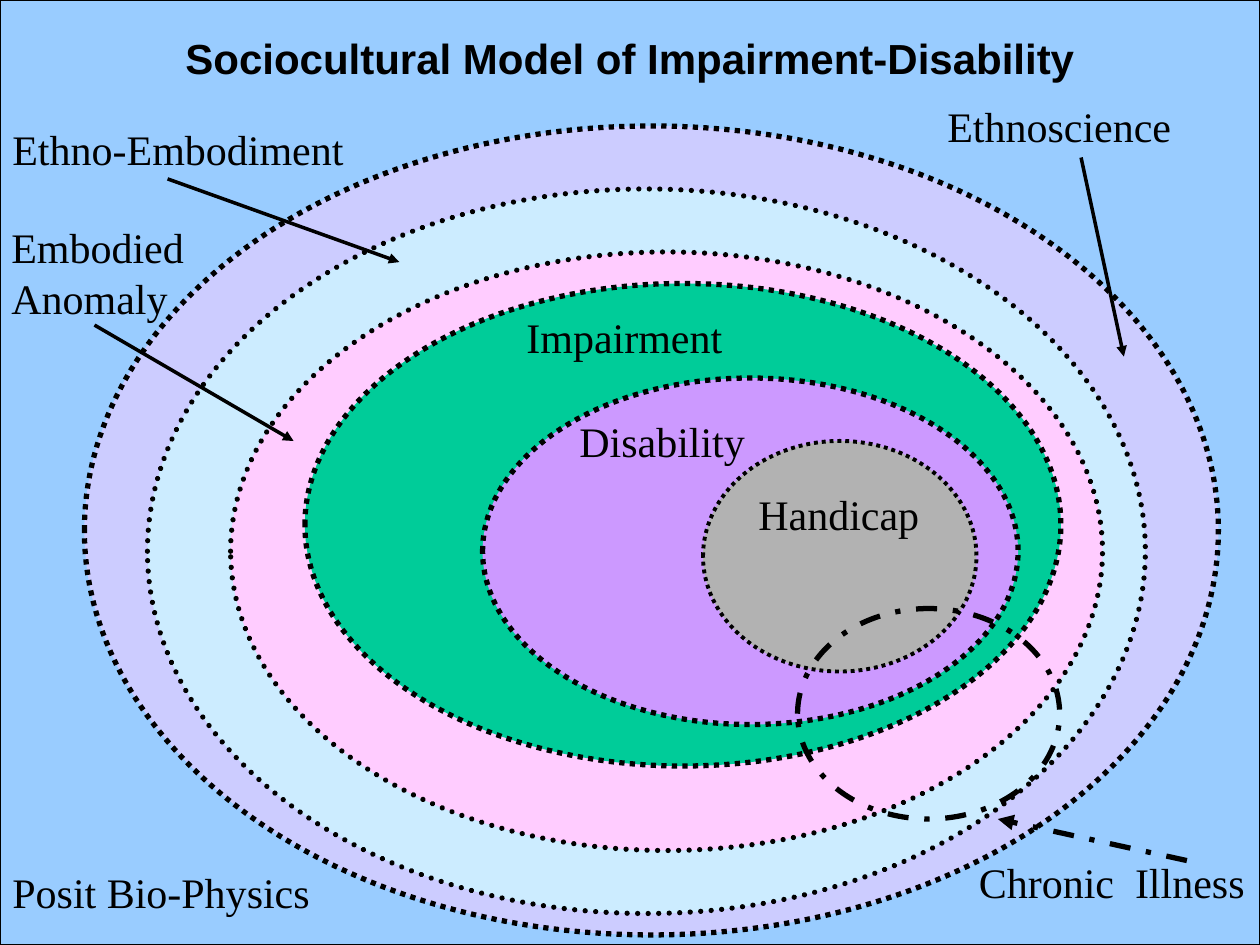
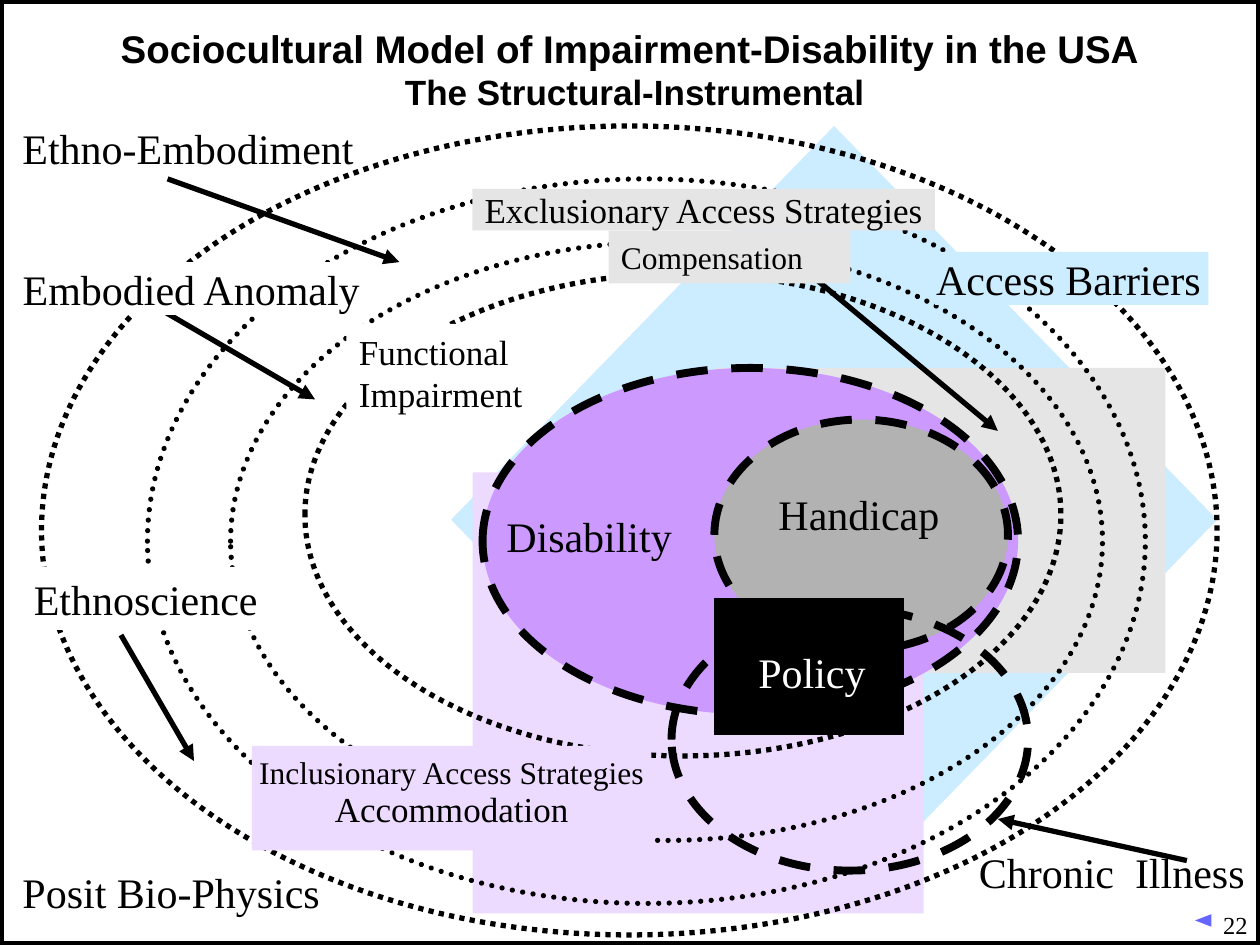
"""Builds two slides of nested ellipses on impairment and disability."""
from dataclasses import dataclass

from lxml import etree
from pptx import Presentation, util as u
from pptx.dml.color import RGBColor
from pptx.enum import dml, shapes, text
from pptx.oxml.ns import qn


@dataclass(frozen=True)
class Theme:
    """Colours, fonts and type sizes."""
    black: str = "000000"
    white: str = "FFFFFF"
    sky: str = "99CCFF"
    lavender: str = "CCCCFF"
    ice: str = "CCECFF"
    pink: str = "FFCCFF"
    green: str = "00CC99"
    violet: str = "CC99FF"
    lilac: str = "EDDBFF"
    grey: str = "B2B2B2"
    silver: str = "E5E5E5"
    marker: str = "6666FF"
    heading: str = "Arial"
    body: str = "Times New Roman"
    large: int = 24
    title: int = 22
    medium: int = 20
    small: int = 18
    number: int = 14


T = Theme()
DASHES = {
    "square": dml.MSO_LINE.ROUND_DOT,
    "round": dml.MSO_LINE.ROUND_DOT,
    "dash": dml.MSO_LINE.DASH,
    "dashdot": dml.MSO_LINE.DASH_DOT,
}
PRESETS = {
    "ellipse": shapes.MSO_SHAPE.OVAL,
    "rect": shapes.MSO_SHAPE.RECTANGLE,
    "diamond": shapes.MSO_SHAPE.DIAMOND,
    "triangle": shapes.MSO_SHAPE.ISOSCELES_TRIANGLE,
}
TIGHT = {"inset": 0.01}
MIDDLE = {"anchor": text.MSO_ANCHOR.MIDDLE}
CENTRED = {**TIGHT, **MIDDLE, "align": text.PP_ALIGN.CENTER}

SLIDES = [
    {
        "title": [("Sociocultural Model of Impairment-Disability", T.large)],
        "title_top": -0.17,
        "background": T.sky,
        "frame": 0.75,
        "parts": [
            ("label", "Ethnoscience", (7.42, 0.75, 2.25, 0.5)),
            ("label", "Ethno-Embodiment", (0, 0.93, 2.83, 0.5)),
            ("ellipse", (0.67, 1, 9, 6.42), T.lavender, 3, "square"),
            ("ellipse", (1.17, 1.5, 7.92, 5.75), T.ice, 3, "round"),
            ("ellipse", (1.83, 2, 6.92, 4.75), T.pink, 3, "round"),
            ("ellipse", (2.42, 2.25, 6, 3.83), T.green, 3, "square"),
            ("ellipse", (3.83, 3, 4.25, 2.75), T.violet, 3, "square"),
            ("ellipse", (5.58, 3.5, 2.17, 1.83), T.grey, 2.25, "square"),
            ("label", "Impairment", (4.08, 2.42, 3.75, 0.5)),
            ("label", "Disability", (4.5, 3.25, 2.67, 0.5)),
            ("label", "Handicap", (5.92, 3.83, 1.75, 0.5)),
            ("arrow", (8.58, 1.25), (8.92, 2.83), 2),
            ("arrow", (1.33, 1.42), (3.17, 2.08), 2),
            ("arrow", (0.75, 2.58), (2.33, 3.5), 2),
            ("ellipse", (6.33, 4.83, 2.08, 1.67), None, 3, "dashdot"),
            ("label", "Chronic  Illness", (7.67, 6.75, 2.33, 0.5)),
            ("arrow", (9.42, 6.83), (7.92, 6.5), 3, "dashdot"),
            ("label", "Posit Bio-Physics", (0, 6.83, 2.83, 0.5)),
            ("label", "Embodied Anomaly", (0.08, 1.75, 2.67, 0.82), TIGHT),
        ],
    },
    {
        "title": [
            ("Sociocultural Model of Impairment-Disability in the USA", T.title),
            (" The Structural-Instrumental", T.medium),
        ],
        "title_top": -0.08,
        "background": T.white,
        "frame": 4.5,
        "parts": [
            ("label", "22", (7.92, 7.17, 2.08, 0.33),
             {"size": T.number, "align": text.PP_ALIGN.RIGHT}),
            ("triangle", (9.5, 7.24, 0.1, 0.13), T.marker, None, None, 270),
            ("diamond", (3.58, 1, 6.08, 6.25), T.ice),
            ("rect", (3.75, 3.75, 3.58, 3.5), T.lilac),
            ("rect", (5.67, 2.92, 3.58, 2.42), T.silver),
            ("label", "Ethno-Embodiment", (0.08, 0.92, 2.83, 0.5)),
            ("ellipse", (0.33, 1, 9.33, 6.42), None, 3, "square"),
            ("ellipse", (1.17, 1.42, 7.92, 5.75), None, 3, "round"),
            ("ellipse", (1.83, 1.92, 6.92, 4.75), None, 3, "round"),
            ("ellipse", (3.83, 2.92, 4.25, 2.75), T.violet, 4.5, "dash"),
            ("ellipse", (2.42, 2.17, 6, 3.83), None, 3, "square"),
            ("ellipse", (5.67, 3.33, 2.33, 1.83), T.grey, 4.5, "dash"),
            ("label", "Disability", (3.92, 4, 2.67, 0.5)),
            ("label", "Handicap", (6.08, 3.83, 1.75, 0.5)),
            ("arrow", (1.33, 1.42), (3.17, 2.08), 3),
            ("arrow", (0.92, 2.25), (2.5, 3.17), 3),
            ("ellipse", (5.33, 4.83, 2.83, 2.08), None, 4.5, "dash"),
            ("label", "Chronic  Illness", (7.67, 6.67, 2.33, 0.5)),
            ("arrow", (9.42, 6.83), (7.92, 6.5), 3),
            ("label", "Posit Bio-Physics", (0.08, 6.83, 2.58, 0.5)),
            ("rect", (5.67, 4.75, 1.5, 1.08), T.black, 0.75),
            ("label", "Policy", (5.92, 5.08, 1.25, 0.5), {"color": T.white}),
            ("label", "Access Barriers", (7.42, 2, 2.17, 0.42),
             {**TIGHT, "fill": T.ice}),
            ("arrow", (0.96, 5.04), (1.54, 6.04), 3),
            ("label", "Ethnoscience", (0.17, 4.5, 2.25, 0.5), {"fill": T.white}),
            ("label", "Inclusionary Access Strategies\nAccommodation",
             (2, 5.92, 3.17, 0.83),
             {**CENTRED, "fill": T.lilac, "sizes": (T.small, T.medium),
              "spacing": 0.5}),
            ("label", "Functional Impairment", (2.75, 2.57, 1.5, 0.77),
             {"fill": T.white, "size": T.medium}),
            ("label", "Embodied Anomaly", (0.17, 2.08, 2.75, 0.42),
             {**TIGHT, "fill": T.white}),
            ("arrow", (6.42, 2.17), (7.92, 3.42), 3),
            ("label", "Compensation", (4.83, 1.83, 1.92, 0.42),
             {**MIDDLE, "fill": T.silver, "size": T.small}),
            ("label", "Exclusionary Access Strategies", (3.75, 1.5, 3.67, 0.33),
             {**CENTRED, "fill": T.silver, "size": T.medium}),
        ],
    },
]


def lengths(*inches):
    """Turns inches into lengths."""
    return [u.Cm(value * 2.54) for value in inches]


def paint(fill, color):
    """Fills with a colour, or clears the fill."""
    if color:
        fill.solid()
        fill.fore_color.rgb = RGBColor.from_string(color)
    else:
        fill.background()


def style_run(run, font, size, color=T.black, bold=False):
    """Sets the type of one run."""
    run.font.name, run.font.size, run.font.bold = font, u.Pt(size), bold
    run.font.color.rgb = RGBColor.from_string(color)


def stroke(outlined, width, dash=None):
    """Draws a black line and returns its XML."""
    paint(outlined.line.fill, T.black)
    outlined.line.width = u.Pt(width)
    if dash:
        outlined.line.dash_style = DASHES[dash]
    ln = outlined._element.spPr.find(qn("a:ln"))
    if dash == "round":
        ln.set("cap", "rnd")
    return ln


def add_preset(slide, kind, at, fill=None, width=None, dash=None, rotation=0):
    """Adds a preset shape without text."""
    region = slide.shapes.add_shape(PRESETS[kind], *lengths(*at))
    region.shadow.inherit = False
    region.rotation = rotation
    paint(region.fill, fill)
    if width:
        stroke(region, width, dash)
    else:
        region.line.fill.background()


def add_arrow(slide, start, end, width, dash=None):
    """Adds a straight arrow."""
    pointer = slide.shapes.add_connector(
        shapes.MSO_CONNECTOR.STRAIGHT, *lengths(*start, *end))
    ln = stroke(pointer, width, dash)
    etree.SubElement(ln, qn("a:tailEnd"), type="triangle")
    etree.SubElement(pointer._element.spPr, qn("a:effectLst"))


def add_label(slide, words, at, options=None):
    """Adds a text label, filled if a colour is given."""
    look = options or {}
    label = slide.shapes.add_textbox(*lengths(*at))
    paint(label.fill, look.get("fill"))
    frame = label.text_frame
    frame.word_wrap = True
    frame.vertical_anchor = look.get("anchor", text.MSO_ANCHOR.TOP)
    if "inset" in look:
        inset, = lengths(look["inset"])
        frame.margin_left = frame.margin_right = inset
        frame.margin_top = frame.margin_bottom = inset
    frame.text = words
    sizes = look.get("sizes", (look.get("size", T.large),))
    for paragraph, size in zip(frame.paragraphs, sizes):
        paragraph.alignment = look.get("align", text.PP_ALIGN.LEFT)
        if "spacing" in look:
            paragraph.line_spacing = look["spacing"]
            paragraph.space_before = u.Pt(size / 2)
        for run in paragraph.runs:
            style_run(run, T.body, size, look.get("color", T.black))


def set_title(slide, lines, top):
    """Places and formats the title."""
    title = slide.shapes.title
    title.left, title.top, title.width, title.height = lengths(0.75, top, 8.5, 1.25)
    frame = title.text_frame
    frame.text = "\v".join(words for words, _ in lines)
    frame.auto_size = text.MSO_AUTO_SIZE.NONE
    frame.vertical_anchor = text.MSO_ANCHOR.MIDDLE
    heading = frame.paragraphs[0]
    heading.alignment = text.PP_ALIGN.CENTER
    for run, (_, size) in zip(heading.runs, lines):
        style_run(run, T.heading, size, bold=True)


def main():
    """Builds and saves the deck."""
    deck = Presentation()
    deck.slide_width, deck.slide_height = lengths(10, 7.5)
    for content in SLIDES:
        slide = deck.slides.add_slide(deck.slide_layouts[5])
        paint(slide.background.fill, content["background"])
        set_title(slide, content["title"], content["title_top"])
        add_preset(slide, "rect", (0, 0, 10, 7.5), None, content["frame"])
        for kind, *details in content["parts"]:
            if kind == "label":
                add_label(slide, *details)
            elif kind == "arrow":
                add_arrow(slide, *details)
            else:
                add_preset(slide, kind, *details)
    deck.save("out.pptx")


if __name__ == "__main__":
    main()
